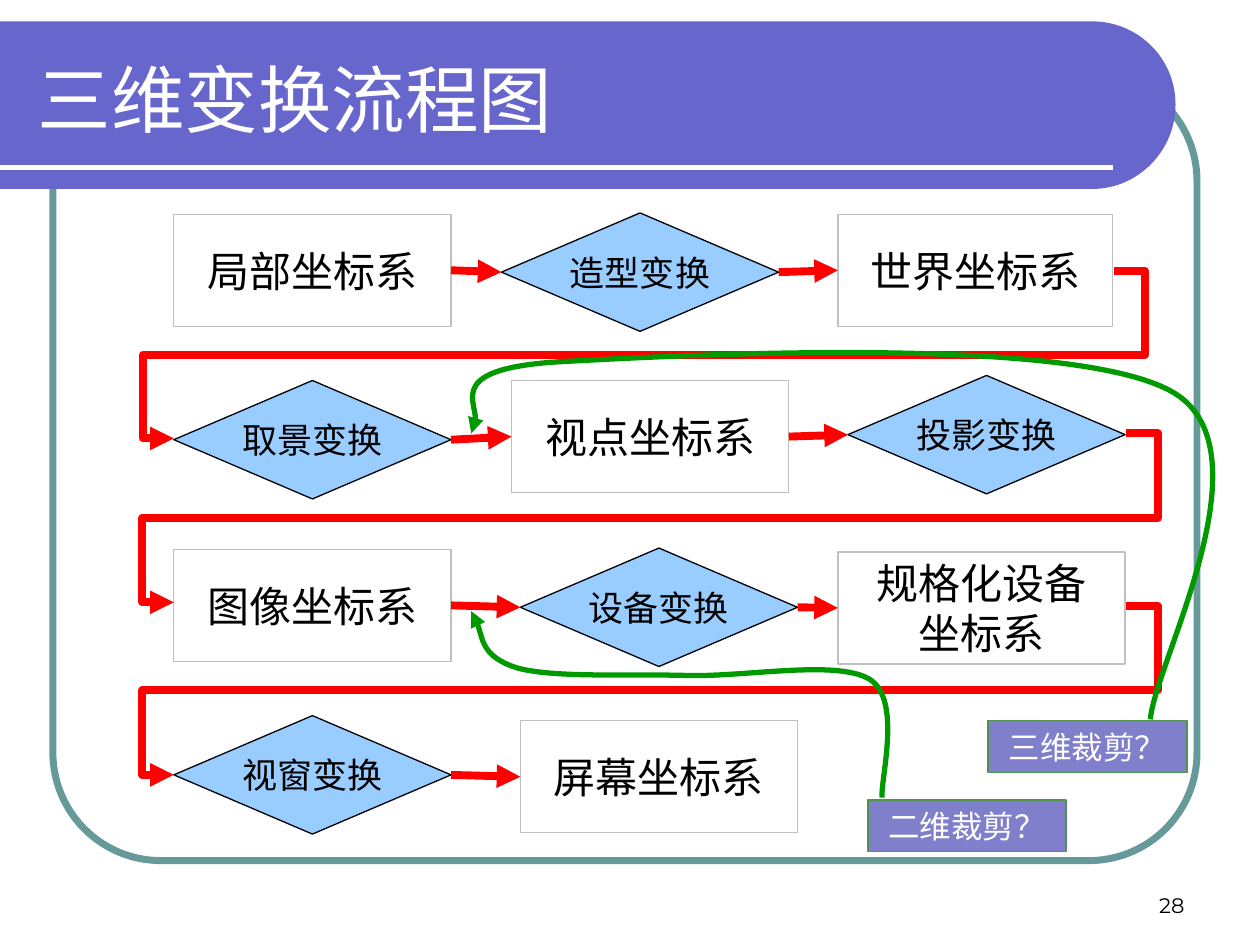
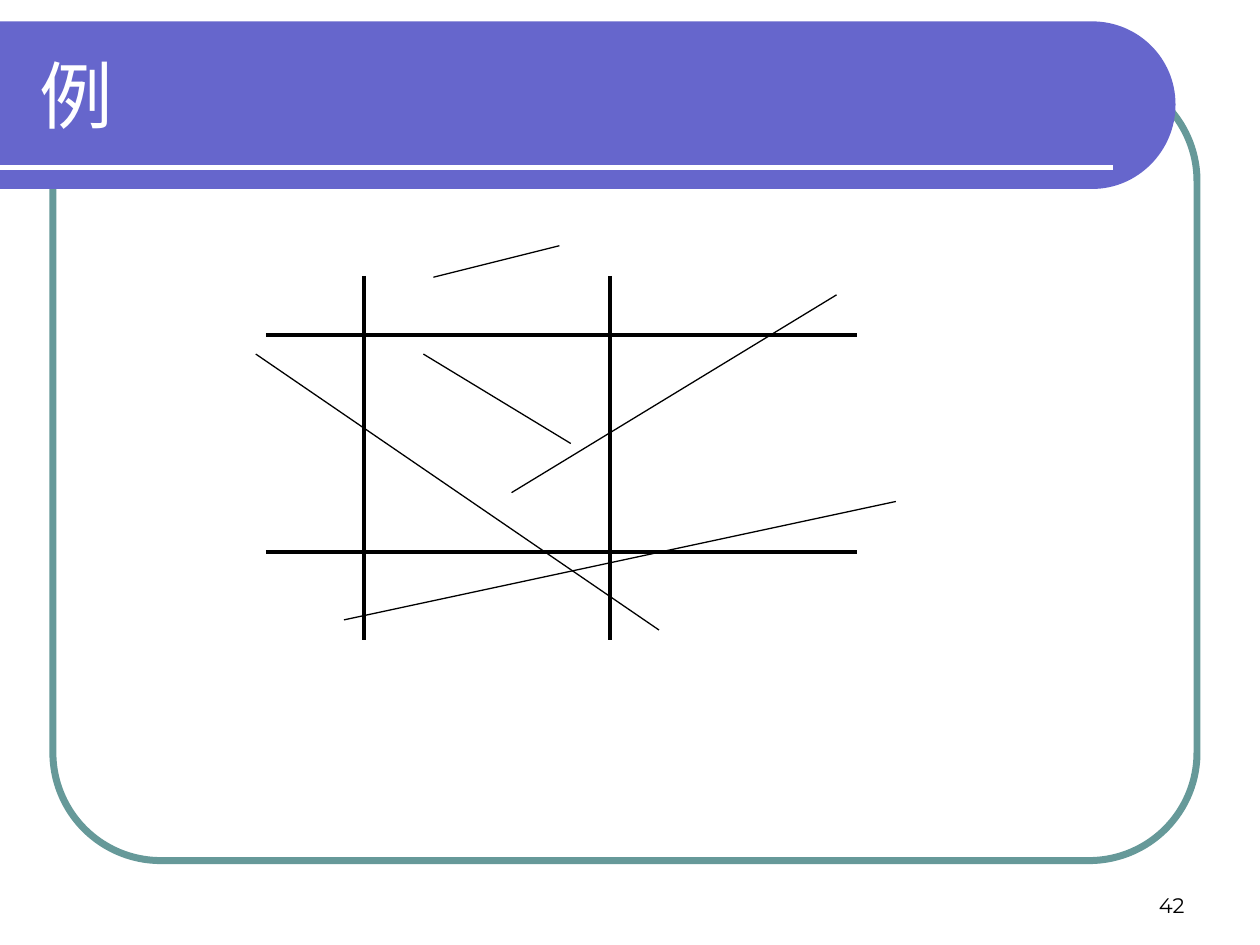
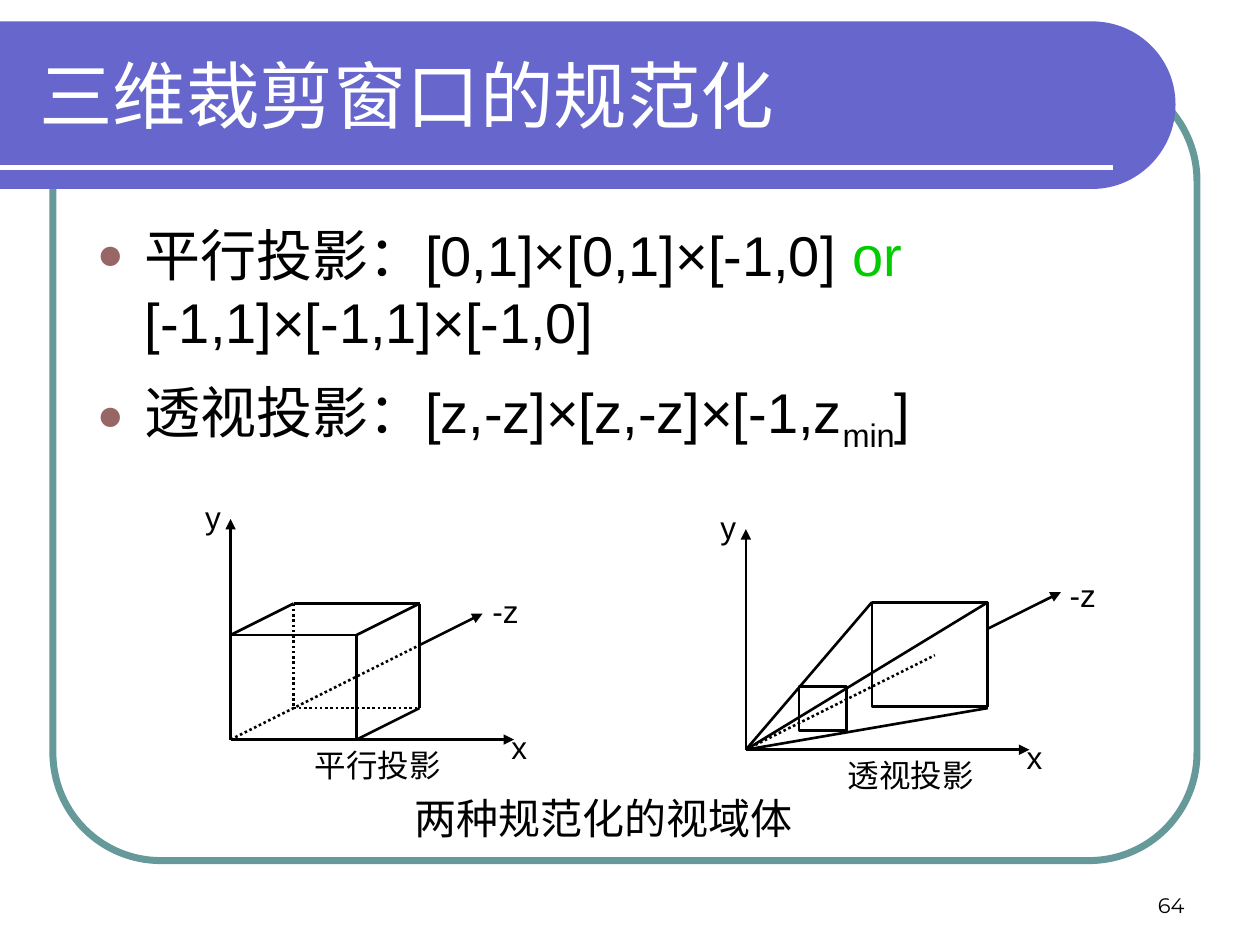
from dataclasses import dataclass
from itertools import pairwise
from typing import NamedTuple

from lxml import etree
from pptx import Presentation
from pptx import util as u
from pptx.dml.color import RGBColor
from pptx.enum import dml, shapes, text
from pptx.oxml import ns

SCALE = 9144  # EMU in one px, 100 px to the inch
Point = tuple[int, int]
Kind = shapes.MSO_SHAPE


@dataclass(frozen=True)
class Theme:
    band: str = "6666CC"
    frame: str = "669999"
    white: str = "FFFFFF"
    ink: str = "000000"
    flow: str = "FF0000"
    clip: str = "009900"
    step: str = "99CCFF"
    space: str = "C0C0C0"
    tag: str = "000099"
    rim: str = "4F944A"
    bullet: str = "996666"
    accent: str = "00CC00"
    sans: str = "Arial"
    serif: str = "Times New Roman"
    digit: str = "Montserrat"
    title: int = 42
    body: int = 32
    large: int = 24
    mid: int = 20
    small: int = 18
    tiny: int = 12


T = Theme()


class Box(NamedTuple):
    x: int
    y: int
    w: int
    h: int


class Pen(NamedTuple):
    color: str
    width: float
    arrow: bool = False
    dots: bool = False


class Type(NamedTuple):
    size: int
    color: str = T.ink
    font: str = T.sans


class Node(NamedTuple):
    label: str
    box: Box
    step: bool = False


class Figure(NamedTuple):
    """A view volume; every place but the origin is an offset from it."""
    origin: Point
    name: str
    name_at: Point
    z_from: Point
    z_tip: Point
    z_label: Point
    edges: list[tuple[Point, Point]]
    hidden: list[tuple[Point, Point]]
    panes: list[Box]


FLOW = Pen(T.flow, 4.5, arrow=True)
CLIP = Pen(T.clip, 3, arrow=True)
EDGE = Pen(T.ink, 1.5)
AXIS = Pen(T.ink, 1.5, arrow=True)
DOTS = Pen(T.ink, 1.5, dots=True)


def px(n: int) -> u.Emu:
    return u.Emu(n * SCALE)


def rgb(code: str) -> RGBColor:
    return RGBColor.from_string(code)


def ink(shape, pen: Pen) -> None:
    shape.line.color.rgb = rgb(pen.color)
    shape.line.width = u.Pt(pen.width)
    if pen.dots:
        shape.line.dash_style = dml.MSO_LINE.ROUND_DOT
    if pen.arrow:
        ln = shape.element.spPr.find(ns.qn("a:ln"))
        etree.SubElement(ln, ns.qn("a:tailEnd"), type="triangle")


def paint(shape, fill: str | None, pen: Pen | None) -> None:
    shape.shadow.inherit = False
    if fill:
        shape.fill.solid()
        shape.fill.fore_color.rgb = rgb(fill)
    else:
        shape.fill.background()
    if pen:
        ink(shape, pen)
    else:
        shape.line.fill.background()


def style(run, kind: Type) -> None:
    run.font.size = u.Pt(kind.size)
    run.font.name = kind.font
    run.font.color.rgb = rgb(kind.color)


def write(frame, words: str, kind: Type, align=text.PP_ALIGN.LEFT,
          anchor=text.MSO_ANCHOR.TOP, wrap: bool = False) -> None:
    frame.text = words
    frame.word_wrap = wrap
    frame.vertical_anchor = anchor
    for para in frame.paragraphs:
        para.alignment = align
        for run in para.runs:
            style(run, kind)


def add_box(slide, kind, box: Box, fill: str | None, pen: Pen):
    shape = slide.shapes.add_shape(kind, *map(px, box))
    paint(shape, fill, pen)
    return shape


def add_line(slide, a: Point, b: Point, pen: Pen,
             kind=shapes.MSO_CONNECTOR.STRAIGHT):
    line = slide.shapes.add_connector(kind, *map(px, (*a, *b)))
    ink(line, pen)
    etree.SubElement(line.element.spPr, ns.qn("a:effectLst"))
    return line


def add_label(slide, words: str, box: Box, kind: Type, **rest) -> None:
    label = slide.shapes.add_textbox(*map(px, box))
    write(label.text_frame, words, kind, **rest)


def add_curve(slide, start: Point, steps: list[tuple[int, ...]],
              fill: str | None, pen: Pen | None, close: bool) -> None:
    """A step of one point is a line; one of three points is a Bezier curve."""
    spots = [spot for step in steps for spot in zip(step[::2], step[1::2])]
    build = slide.shapes.build_freeform(*start, scale=SCALE)
    build.add_line_segments(spots, close=close)
    shape = build.convert_to_shape()
    parts = iter(list(shape.element.spPr.iter(ns.qn("a:lnTo"))))
    for step in steps:
        head = next(parts)
        if len(step) == 6:
            bend = etree.Element(ns.qn("a:cubicBezTo"))
            head.addprevious(bend)
            for part in (head, next(parts), next(parts)):
                bend.append(part[0])
                part.getparent().remove(part)
    paint(shape, fill, pen)


def add_slide(deck, words: str, page: int, at: Point = (21, 25)):
    slide = deck.slides.add_slide(deck.slide_layouts[5])
    frame = add_box(slide, Kind.ROUNDED_RECTANGLE, Box(42, 58, 908, 625),
                    None, Pen(T.frame, 4))
    frame.adjustments[0] = 0.137
    add_curve(slide, (0, 17),
              [(867, 17), (903, 17, 933, 46, 933, 83),
               (933, 120, 903, 150, 867, 150), (0, 150)],
              T.band, None, True)
    add_line(slide, (0, 133), (883, 133), Pen(T.white, 3))
    add_label(slide, str(page), Box(717, 683, 233, 50),
              Type(T.tiny, font=T.digit), align=text.PP_ALIGN.RIGHT,
              anchor=text.MSO_ANCHOR.BOTTOM, wrap=True)
    title = slide.shapes.title
    title.left, title.top, title.width, title.height = map(px, (*at, 877, 100))
    write(title.text_frame, words, Type(T.title, T.white),
          anchor=text.MSO_ANCHOR.MIDDLE, wrap=True)
    title.text_frame.auto_size = text.MSO_AUTO_SIZE.NONE
    title.element.getparent().append(title.element)  # in front of the band
    return slide


def add_node(slide, node: Node):
    if node.step:
        shape = add_box(slide, Kind.FLOWCHART_DECISION, node.box, T.step,
                        Pen(T.ink, 0.75))
        kind = Type(T.mid)
    else:
        shape = add_box(slide, Kind.RECTANGLE, node.box, None,
                        Pen(T.space, 0.75))
        shape.text_frame.margin_left = shape.text_frame.margin_right = 0
        kind = Type(T.large, font=T.serif)
    write(shape.text_frame, node.label, kind, text.PP_ALIGN.CENTER,
          text.MSO_ANCHOR.MIDDLE, wrap=not node.step)
    return shape


def add_turn(slide, a: Point, b: Point) -> None:
    """Lead from the end of one row back to the start of the next."""
    line = add_line(slide, a, b, FLOW, shapes.MSO_CONNECTOR.ELBOW)
    geom = line.element.spPr.find(ns.qn("a:prstGeom"))
    geom.set("prst", "bentConnector5")
    guides = geom.find(ns.qn("a:avLst"))
    if guides is None:
        guides = etree.SubElement(geom, ns.qn("a:avLst"))
    for i, part in enumerate((-3300, 50000, 103300), 1):
        etree.SubElement(guides, ns.qn("a:gd"), name=f"adj{i}",
                         fmla=f"val {part}")


def add_tag(slide, words: str, box: Box) -> None:
    tag = add_box(slide, Kind.RECTANGLE, box, T.tag, Pen(T.rim, 0.75))
    tone = tag.element.spPr.find(ns.qn("a:solidFill"))[0]
    etree.SubElement(tone, ns.qn("a:alpha"), val="50000")
    write(tag.text_frame, words, Type(T.small, T.white),
          text.PP_ALIGN.CENTER, text.MSO_ANCHOR.MIDDLE, wrap=True)


def flow_slide(deck) -> None:
    slide = add_slide(deck, "三维变换流程图", 28, (20, 28))
    rows = [
        [Node("局部坐标系", Box(138, 170, 220, 89)),
         Node("造型变换", Box(398, 169, 220, 94), True),
         Node("世界坐标系", Box(665, 170, 218, 89))],
        [Node("取景变换", Box(138, 302, 220, 94), True),
         Node("视点坐标系", Box(406, 302, 220, 89)),
         Node("投影变换", Box(673, 298, 220, 94), True)],
        [Node("图像坐标系", Box(138, 436, 220, 89)),
         Node("设备变换", Box(413, 435, 220, 94), True),
         Node("规格化设备\n坐标系", Box(665, 438, 228, 89))],
        [Node("视窗变换", Box(138, 568, 220, 94), True),
         Node("屏幕坐标系", Box(413, 572, 220, 89))],
    ]
    for row in rows:
        drawn = [add_node(slide, node) for node in row]
        for a, b in pairwise(drawn):
            line = add_line(slide, (0, 0), (1, 1), FLOW)
            line.begin_connect(a, 3)
            line.end_connect(b, 1)
    for a, b in [((884, 215), (138, 348)), ((894, 344), (138, 478)),
                 ((894, 481), (138, 615))]:
        add_turn(slide, a, b)
    add_tag(slide, "二维裁剪？", Box(689, 635, 157, 41))
    add_tag(slide, "三维裁剪？", Box(784, 572, 158, 41))
    curves = [
        ((700, 633), [(699, 617, 716, 555, 690, 539),
                      (663, 523, 589, 538, 542, 536),
                      (496, 535, 438, 538, 410, 530),
                      (382, 521, 381, 494, 374, 485)]),
        ((913, 571), [(916, 528, 1009, 359, 932, 312),
                      (854, 265, 540, 282, 447, 287),
                      (354, 292, 386, 335, 374, 344)]),
    ]
    for start, steps in curves:
        add_curve(slide, start, steps, None, CLIP, False)


def clip_slide(deck) -> None:
    slide = add_slide(deck, "例", 42)
    for y in (266, 438):
        add_line(slide, (211, y), (680, y), Pen(T.ink, 2))
    for x in (289, 484):
        add_line(slide, (x, 219), (x, 508), Pen(T.ink, 2))
    for a, b in [((336, 281), (453, 352)), ((344, 220), (444, 195)),
                 ((711, 398), (273, 492)), ((523, 500), (203, 281)),
                 ((406, 391), (664, 234))]:
        add_line(slide, a, b, Pen(T.ink, 0.75))


def add_figure(slide, fig: Figure) -> None:
    def at(spot: Point) -> Point:
        return fig.origin[0] + spot[0], fig.origin[1] + spot[1]

    lines = [((0, 0), (0, -175), AXIS), ((0, 0), (225, 0), AXIS),
             ((0, 0), (150, -75), DOTS), (fig.z_from, fig.z_tip, AXIS)]
    lines += [(a, b, EDGE) for a, b in fig.edges]
    lines += [(a, b, DOTS) for a, b in fig.hidden]
    for a, b, pen in lines:
        add_line(slide, at(a), at(b), pen)
    for pane in fig.panes:
        add_box(slide, Kind.RECTANGLE, Box(*at(pane[:2]), pane.w, pane.h),
                None, EDGE)
    for words, spot, width in [("y", (-30, -197), 33), ("x", (213, -14), 33),
                               ("-z", fig.z_label, 41),
                               (fig.name, fig.name_at, 120)]:
        add_label(slide, words, Box(*at(spot), width, 40), Type(T.small))


def add_bullet(para, parts: list[tuple[str, str, int]], gap: float) -> None:
    """Parts are words, colour and baseline shift in percent."""
    for words, color, shift in parts:
        run = para.add_run()
        run.text = words
        style(run, Type(T.body, color))
        if shift:
            run.font._element.set("baseline", str(shift * 1000))
    para.space_before = u.Pt(gap)
    prop = para._p.get_or_add_pPr()
    prop.set("marL", str(px(38)))
    prop.set("indent", str(px(-38)))
    tone = etree.SubElement(prop, ns.qn("a:buClr"))
    etree.SubElement(tone, ns.qn("a:srgbClr"), val=T.bullet)
    etree.SubElement(prop, ns.qn("a:buSzPct"), val="80000")
    etree.SubElement(prop, ns.qn("a:buFont"), typeface=T.sans)
    etree.SubElement(prop, ns.qn("a:buChar"), char="●")


def view_slide(deck) -> None:
    slide = add_slide(deck, "三维裁剪窗口的规范化", 64)
    a, b, c = (0, -83), (100, -83), (100, 0)
    d, e, f, g = [(x + 50, y - 25) for x, y in (a, b, c, (0, 0))]
    add_figure(slide, Figure(
        (183, 587), "平行投影", (57, 0), (150, -75), (200, -100), (198, -122),
        [(a, b), (b, c), (a, d), (d, e), (b, e), (e, f), (c, f)],
        [(d, g), (g, f)], []))
    far = [(100, -117), (192, -117), (192, -33)]
    add_figure(slide, Figure(
        (592, 595), "透视投影", (71, 0), (192, -96), (250, -125), (247, -143),
        [((0, 0), spot) for spot in far], [],
        [Box(42, -50, 38, 35), Box(100, -117, 92, 83)]))
    add_label(slide, "两种规范化的视域体", Box(319, 624, 320, 50),
              Type(T.large))
    body = slide.shapes.add_textbox(*map(px, (67, 170, 851, 488))).text_frame
    body.word_wrap = True
    add_bullet(body.paragraphs[0],
               [("平行投影：[0,1]×[0,1]×[-1,0] ", T.ink, 0),
                ("or", T.accent, 0),
                (" [-1,1]×[-1,1]×[-1,0]", T.ink, 0)], 0)
    add_bullet(body.add_paragraph(),
               [("透视投影：[z,-z]×[z,-z]×[-1,z", T.ink, 0),
                ("min", T.ink, -25), ("]", T.ink, 0)], 12.8)


def main() -> None:
    deck = Presentation()
    deck.slide_width, deck.slide_height = px(1000), px(750)
    flow_slide(deck)
    clip_slide(deck)
    view_slide(deck)
    deck.save("out.pptx")


if __name__ == "__main__":
    main()
